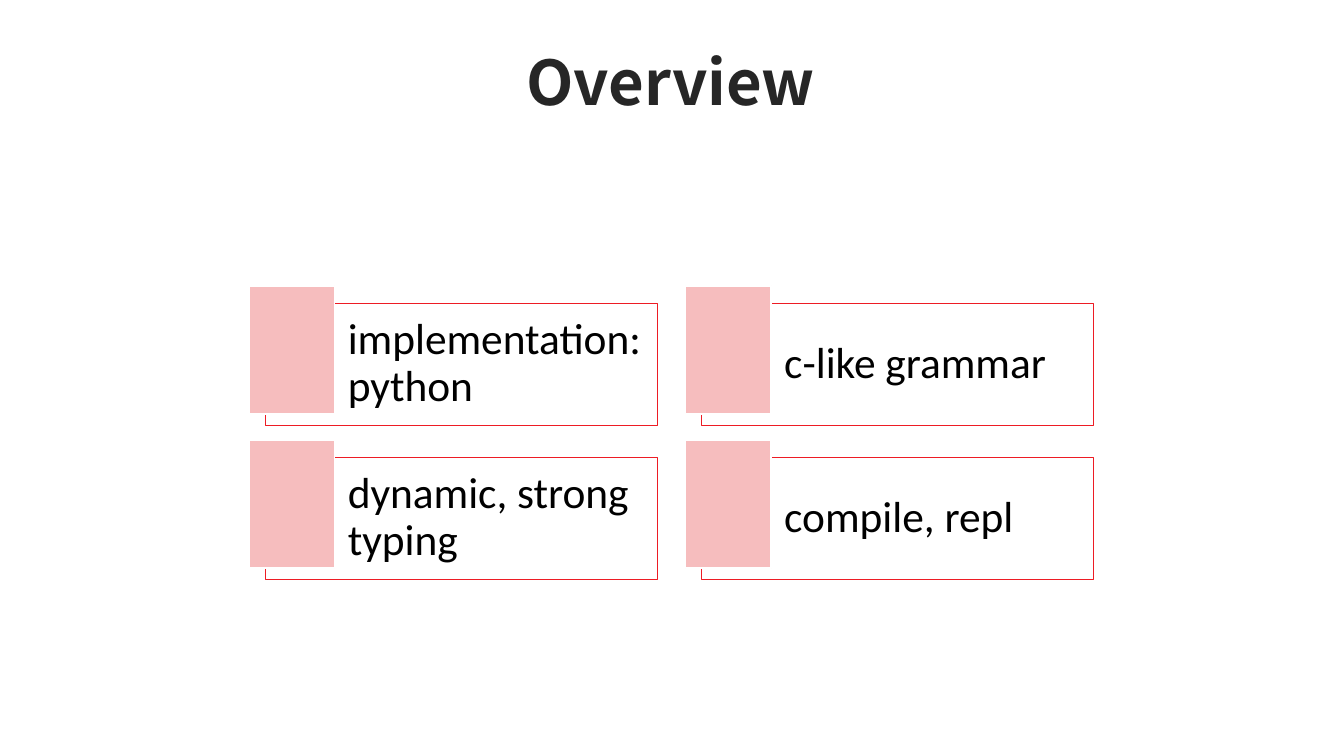
from dataclasses import dataclass

from lxml.etree import SubElement
from pptx import Presentation
from pptx.dml.color import RGBColor
from pptx.enum.shapes import MSO_SHAPE as Shape
from pptx.enum.text import MSO_ANCHOR as Anchor, MSO_AUTO_SIZE as AutoSize, PP_ALIGN as Align
from pptx.oxml.ns import qn
from pptx.util import Pt


@dataclass(frozen=True)
class Theme:
    """Colours, fonts and type sizes of the slide."""
    white: RGBColor = RGBColor.from_string("FFFFFF")
    red: RGBColor = RGBColor.from_string("ED1C24")
    pink: RGBColor = RGBColor.from_string("F6BDBE")
    title_color: RGBColor = RGBColor.from_string("262626")
    text_color: RGBColor = RGBColor.from_string("000000")
    title_font: str = "Noto Sans CJK SC"
    text_font: str = "Calibri"
    title_size: int = 44
    text_size: int = 31


THEME = Theme()
TOPICS = [
    ["implementation:\npython", "c-like grammar"],
    ["dynamic, strong\ntyping", "compile, repl"],
]
GRID_LEFT, GRID_TOP = 189.36, 216.5
COLUMN_STEP, ROW_STEP = 311.76, 110.16
CARD_WIDTH, CARD_HEIGHT = 280.08, 87.12
TAB_WIDTH, TAB_HEIGHT = 61.2, 91.44
TAB_SHIFT_X, TAB_SHIFT_Y = 11.5, 12.24
TEXT_INDENT, TEXT_MARGIN = 59.04, 9.36


def format_text(paragraph, text, font_name, size, color, align, bold=False):
    """Fill a paragraph with text in one uniform style."""
    paragraph.text = text
    paragraph.alignment = align
    paragraph.line_spacing = 0.9
    font = paragraph.font
    font.name, font.size, font.bold = font_name, Pt(size), bold
    font.color.rgb = color


def add_title(slide, text):
    """Place and format the title placeholder."""
    title = slide.shapes.title
    title.left, title.top = Pt(140.4), Pt(29.5)
    title.width, title.height = Pt(677.5), Pt(62.64)
    frame = title.text_frame
    frame.auto_size = AutoSize.NONE
    frame.vertical_anchor = Anchor.MIDDLE
    format_text(frame.paragraphs[0], text, THEME.title_font, THEME.title_size,
                THEME.title_color, Align.CENTER, bold=True)


def add_rectangle(slide, left, top, width, height, fill, line, line_width):
    """Add a flat rectangle with a solid fill and outline."""
    shape = slide.shapes.add_shape(Shape.RECTANGLE, Pt(left), Pt(top), Pt(width), Pt(height))
    shape.shadow.inherit = False
    shape.fill.solid()
    shape.fill.fore_color.rgb = fill
    shape.line.color.rgb = line
    shape.line.width = Pt(line_width)
    return shape


def set_opacity(shape, percent):
    """Make the solid fill of a shape partly transparent."""
    color = shape.fill._xPr.find(qn("a:solidFill"))[0]
    SubElement(color, qn("a:alpha")).set("val", str(percent * 1000))


def add_card(slide, left, top, text):
    """Add an outlined text card with a pink tab at its upper left."""
    card = add_rectangle(slide, left, top, CARD_WIDTH, CARD_HEIGHT, THEME.white, THEME.red, 0.5)
    set_opacity(card, 40)
    frame = card.text_frame
    frame.word_wrap = True
    frame.vertical_anchor = Anchor.MIDDLE
    frame.margin_left = Pt(TEXT_INDENT)
    frame.margin_top = frame.margin_right = frame.margin_bottom = Pt(TEXT_MARGIN)
    format_text(frame.paragraphs[0], text, THEME.text_font, THEME.text_size,
                THEME.text_color, Align.LEFT)
    add_rectangle(slide, left - TAB_SHIFT_X, top - TAB_SHIFT_Y, TAB_WIDTH, TAB_HEIGHT,
                  THEME.pink, THEME.white, 1)


def main():
    """Build and save the overview slide."""
    presentation = Presentation()
    presentation.slide_width, presentation.slide_height = Pt(960), Pt(540)
    slide = presentation.slides.add_slide(presentation.slide_layouts.get_by_name("Title Only"))
    add_title(slide, "Overview")
    for row, topics in enumerate(TOPICS):
        for column, topic in enumerate(topics):
            add_card(slide, GRID_LEFT + column * COLUMN_STEP, GRID_TOP + row * ROW_STEP, topic)
    presentation.save("out.pptx")


if __name__ == "__main__":
    main()
